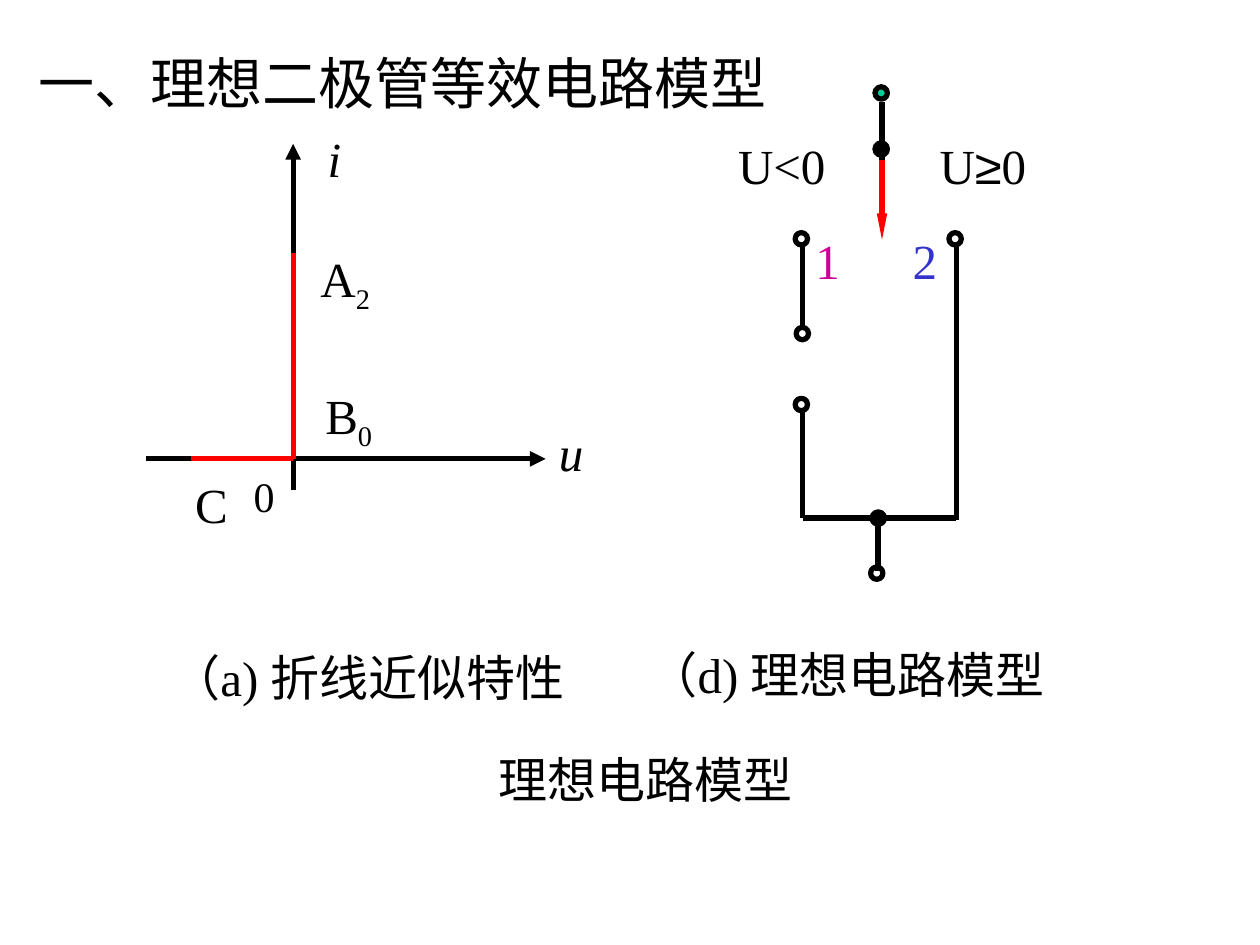
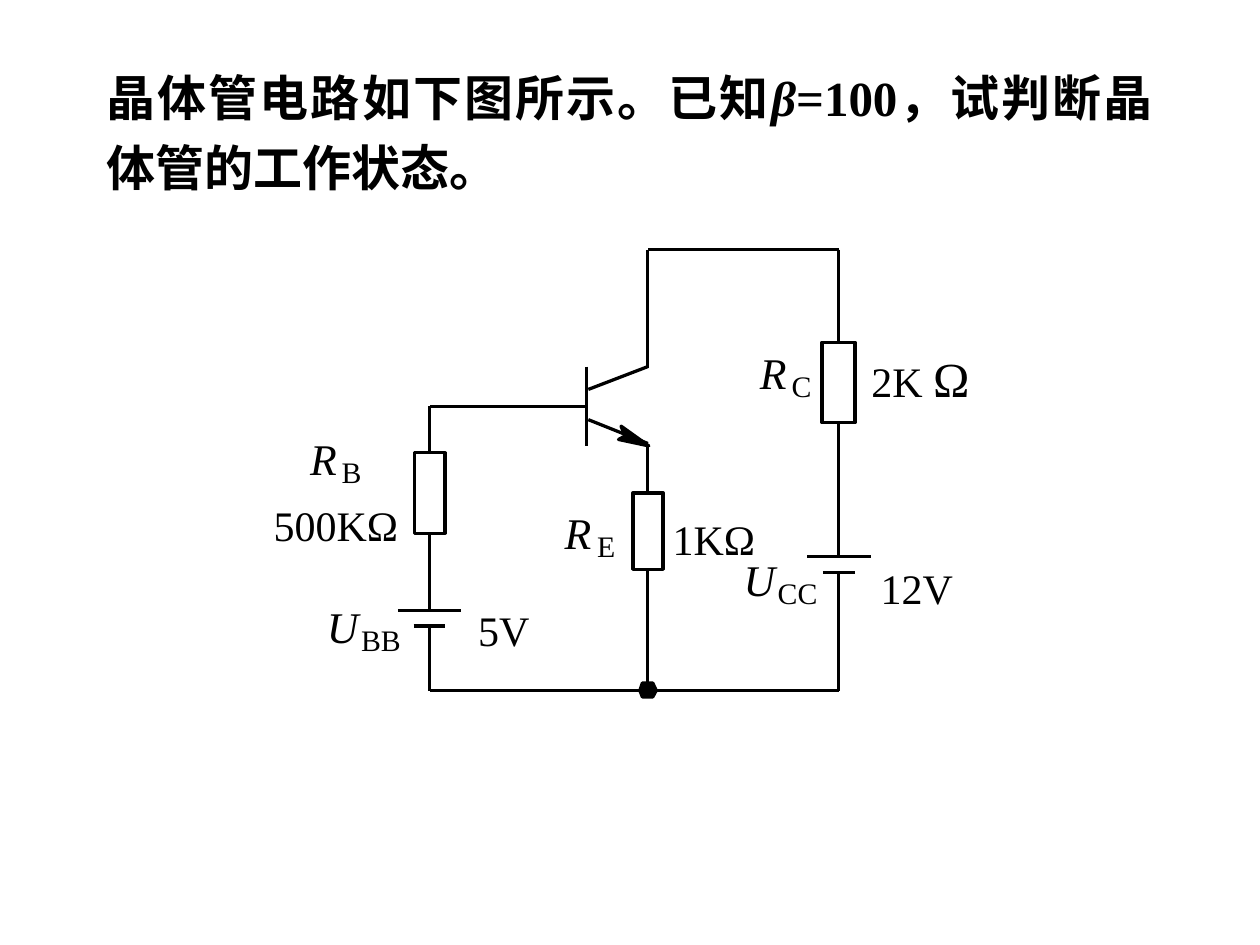
from pptx import Presentation
from pptx import util as u
from pptx.dml.color import RGBColor
from pptx.enum import shapes, text
from pptx.oxml.ns import qn
from lxml import etree

BLACK = RGBColor(0x00, 0x00, 0x00)
WHITE = RGBColor(0xFF, 0xFF, 0xFF)
RED = RGBColor(0xFF, 0x00, 0x00)
GREEN = RGBColor(0x00, 0xCC, 0x99)
MAGENTA = RGBColor(0xCC, 0x00, 0x99)
BLUE = RGBColor(0x33, 0x33, 0xCC)
FONT = "Times New Roman"
THICK, THIN = 3, 1.87
LABEL_HEIGHT = {28: 1.45, 24: 1.27}
INSETS = (0.25, 0.13)
SLACK = 0.05  # extra room on each side, so that a label stays on one line


# Text
def add_run(paragraph, words, size=28, color=BLACK, font=FONT,
            italic=False, bold=False, subscript=False):
    run = paragraph.add_run()
    run.text = words
    run.font.size = u.Pt(size)
    run.font.name = font
    run.font.color.rgb = color
    run.font.italic = italic
    run.font.bold = bold
    if subscript:
        run._r.get_or_add_rPr().set("baseline", "-25000")


def set_insets(frame, across, down):
    frame.margin_left = frame.margin_right = u.Cm(across)
    frame.margin_top = frame.margin_bottom = u.Cm(down)


def add_text(slide, left, top, width, height, align=text.PP_ALIGN.CENTER,
             insets=INSETS):
    box = slide.shapes.add_textbox(u.Cm(left - SLACK), u.Cm(top),
                                   u.Cm(width + 2 * SLACK), u.Cm(height))
    frame = box.text_frame
    frame.word_wrap = False
    frame.auto_size = text.MSO_AUTO_SIZE.SHAPE_TO_FIT_TEXT
    frame.vertical_anchor = text.MSO_ANCHOR.MIDDLE
    set_insets(frame, *insets)
    frame.paragraphs[0].alignment = align
    return frame.paragraphs[0]


def add_label(slide, words, left, top, width, size=28,
              align=text.PP_ALIGN.CENTER, **style):
    paragraph = add_text(slide, left, top, width, LABEL_HEIGHT[size], align)
    add_run(paragraph, words, size, **style)
    return paragraph


def add_point_name(slide, letter, index, left, top):
    paragraph = add_text(slide, left, top, 1.48, 1.6)
    add_run(paragraph, letter)
    add_run(paragraph, index, subscript=True)


def add_symbol(slide, letter, index, left, top):
    """Italic quantity with its index in a box at the lower right."""
    bare = (0, 0)
    add_run(add_text(slide, left, top, 0.58, 1.07, insets=bare), letter, 25, italic=True)
    add_run(add_text(slide, left + 0.66, top + 0.45, 0.4 * len(index), 0.71, insets=bare),
            index, 17)


def format_title(slide, left, top, width, height):
    title = slide.shapes.title
    title.left, title.top = u.Cm(left), u.Cm(top)
    title.width, title.height = u.Cm(width), u.Cm(height)
    frame = title.text_frame
    frame.word_wrap = True
    frame.auto_size = text.MSO_AUTO_SIZE.NONE
    frame.vertical_anchor = text.MSO_ANCHOR.TOP
    set_insets(frame, *INSETS)
    paragraph = frame.paragraphs[0]
    paragraph.alignment = text.PP_ALIGN.LEFT
    paragraph.space_before = u.Pt(0)
    return paragraph


# Lines and shapes
def add_wire(slide, start_x, start_y, end_x, end_y, width=THIN, color=BLACK, arrow=None):
    wire = slide.shapes.add_connector(
        shapes.MSO_CONNECTOR.STRAIGHT,
        u.Cm(start_x), u.Cm(start_y), u.Cm(end_x), u.Cm(end_y))
    wire.line.color.rgb = color
    wire.line.width = u.Pt(width)
    if arrow:
        head_width, head_length = arrow
        etree.SubElement(wire.line._get_or_add_ln(), qn("a:tailEnd"),
                         type="triangle", w=head_width, len=head_length)
    etree.SubElement(wire._element.spPr, qn("a:effectLst"))


def finish_shape(shape, fill, width):
    shape.shadow.inherit = False
    if fill is None:
        shape.fill.background()
    else:
        shape.fill.solid()
        shape.fill.fore_color.rgb = fill
    shape.line.color.rgb = BLACK
    shape.line.width = u.Pt(width)


def add_terminal(slide, left, top, fill=None):
    terminal = slide.shapes.add_shape(
        shapes.MSO_SHAPE.OVAL, u.Cm(left), u.Cm(top), u.Cm(0.25), u.Cm(0.25))
    finish_shape(terminal, fill, THICK)


def add_resistor(slide, left, top, width, height):
    resistor = slide.shapes.add_shape(
        shapes.MSO_SHAPE.RECTANGLE, u.Cm(left), u.Cm(top), u.Cm(width), u.Cm(height))
    finish_shape(resistor, WHITE, THIN)


def add_battery(slide, center, top):
    for half, y in ((0.64, top), (0.32, top + 0.32)):
        add_wire(slide, center - half, y, center + half, y)


def add_polygon(slide, points):
    points = [(u.Cm(x), u.Cm(y)) for x, y in points]
    builder = slide.shapes.build_freeform(*points[0])
    builder.add_line_segments(points[1:], close=True)
    finish_shape(builder.convert_to_shape(), BLACK, THIN)


# Slide 1: ideal diode
def draw_characteristic(slide):
    origin_x, origin_y = 5.91, 9.25
    axis_head = ("med", "med")
    add_wire(slide, 2.95, origin_y, 11, origin_y, THICK, arrow=axis_head)
    add_wire(slide, origin_x, 9.88, origin_x, 2.9, THICK, arrow=axis_head)
    add_wire(slide, 3.86, origin_y, origin_x, origin_y, THICK, RED)
    add_wire(slide, origin_x, origin_y, origin_x, 5.11, THICK, RED)
    add_label(slide, "i", 6.35, 2.46, 0.79, italic=True)
    add_label(slide, "u", 11.02, 8.38, 0.99, italic=True)
    add_point_name(slide, "A", "2", 6.22, 4.88)
    add_point_name(slide, "B", "0", 6.29, 7.65)
    add_label(slide, "C", 3.68, 9.44, 1.17)
    add_label(slide, "0", 4.87, 9.35, 0.91, 24)
    add_label(slide, "（a) 折线近似特性", 2.97, 12.93, 8.89)


def draw_switch_model(slide):
    left, right, bottom, blade = 16.18, 19.28, 10.44, 17.78
    for wire in ((left, 4.98, left, 6.63), (right, 10.49, right, 4.98),
                 (left, 8.31, left, bottom), (right, bottom, left, bottom),
                 (17.7, bottom, 17.7, 11.51), (blade, 2.06, blade, 3.33)):
        add_wire(slide, *wire, THICK)
    add_wire(slide, blade, 3.23, blade, 4.83, THICK, RED, ("sm", "lg"))
    add_label(slide, "U<0", 14.63, 2.61, 2.26)
    condition = add_label(slide, "U", 18.57, 2.61, 2.49)
    add_run(condition, "≥", font="Arial")
    add_run(condition, "0")
    add_label(slide, "1", 16.19, 4.52, 0.99, color=MAGENTA)
    add_label(slide, "2", 18.15, 4.52, 0.99, color=BLUE)
    add_label(slide, "（d) 理想电路模型", 12.88, 12.86, 8.94, align=text.PP_ALIGN.LEFT)
    for x, y in ((16.05, 6.6), (16.03, 8.03), (16.03, 4.69), (17.55, 11.43), (19.13, 4.69)):
        add_terminal(slide, x, y)
    add_terminal(slide, 17.64, 1.75, GREEN)
    add_terminal(slide, 17.64, 2.88, BLACK)
    add_terminal(slide, 17.58, 10.32, BLACK)


def build_diode_slide(slide):
    add_run(format_title(slide, 0.53, 0.84, 17.04, 1.63), "一、理想二极管等效电路模型", 32)
    draw_characteristic(slide)
    draw_switch_model(slide)
    add_label(slide, "理想电路模型", 9.8, 14.97, 6.43)


# Slide 2: transistor circuit
def draw_transistor_circuit(slide):
    left, middle, right = 8.66, 13.06, 16.91
    top, bottom, base = 5.03, 13.92, 8.19
    for wire in ((middle, top, middle, 7.42), (11.81, base, left, base),
                 (right, top, middle, top), (right, top, right, 11.23),
                 (right, bottom, left, bottom), (left, base, left, 12.29),
                 (11.82, 7.39, 11.82, 8.99), (11.86, 7.85, middle, 7.39),
                 (11.86, 8.46, middle, 8.94), (middle, 8.97, middle, bottom),
                 (right, 11.54, right, bottom), (left, 12.62, left, bottom)):
        add_wire(slide, *wire)
    # Emitter arrow and ground junction
    add_polygon(slide, [(12.47, 8.86), (12.6, 8.79), (12.52, 8.59), (13.08, 8.99)])
    add_polygon(slide, [(12.9, 13.92), (12.95, 13.77), (13.16, 13.77),
                        (13.23, 13.92), (13.16, 14.05), (12.95, 14.05)])
    add_resistor(slide, 8.36, 9.13, 0.61, 1.62)
    add_resistor(slide, 16.57, 6.9, 0.67, 1.62)
    add_resistor(slide, 12.76, 9.94, 0.61, 1.54)
    add_battery(slide, left, 12.3)
    add_battery(slide, right, 11.22)


def label_transistor_circuit(slide):
    for symbol in (("R", "B", 6.23, 8.7), ("U", "BB", 6.62, 12.09),
                   ("R", "E", 11.36, 10.2), ("R", "C", 15.3, 6.97),
                   ("U", "CC", 15.02, 11.14)):
        add_symbol(slide, *symbol)
    for value in (("5V", 9.38, 12.05, 1.55), ("500KΩ", 5.26, 9.94, 3.02),
                  ("1KΩ", 13.31, 10.22, 2.16), ("12V", 17.5, 11.21, 1.96)):
        add_label(slide, *value, 24)
    collector_value = add_text(slide, 17.31, 6.9, 2.49, 1.45)
    add_run(collector_value, "2K ", 24)
    add_run(collector_value, "Ω", 28)


def build_transistor_slide(slide):
    question = format_title(slide, 1.9, 0.99, 21.59, 3.02)
    question.alignment = text.PP_ALIGN.JUSTIFY
    question.line_spacing = 1.2
    add_run(question, "晶体管电路如下图所示。已知", bold=True)
    add_run(question, "β", bold=True, italic=True)
    add_run(question, "=100，试判断晶体管的工作状态。", bold=True)
    draw_transistor_circuit(slide)
    label_transistor_circuit(slide)


def main():
    presentation = Presentation()
    presentation.slide_width, presentation.slide_height = u.Cm(25.4), u.Cm(19.05)
    title_only = presentation.slide_layouts[5]
    for build in (build_diode_slide, build_transistor_slide):
        build(presentation.slides.add_slide(title_only))
    presentation.save("out.pptx")


if __name__ == "__main__":
    main()
